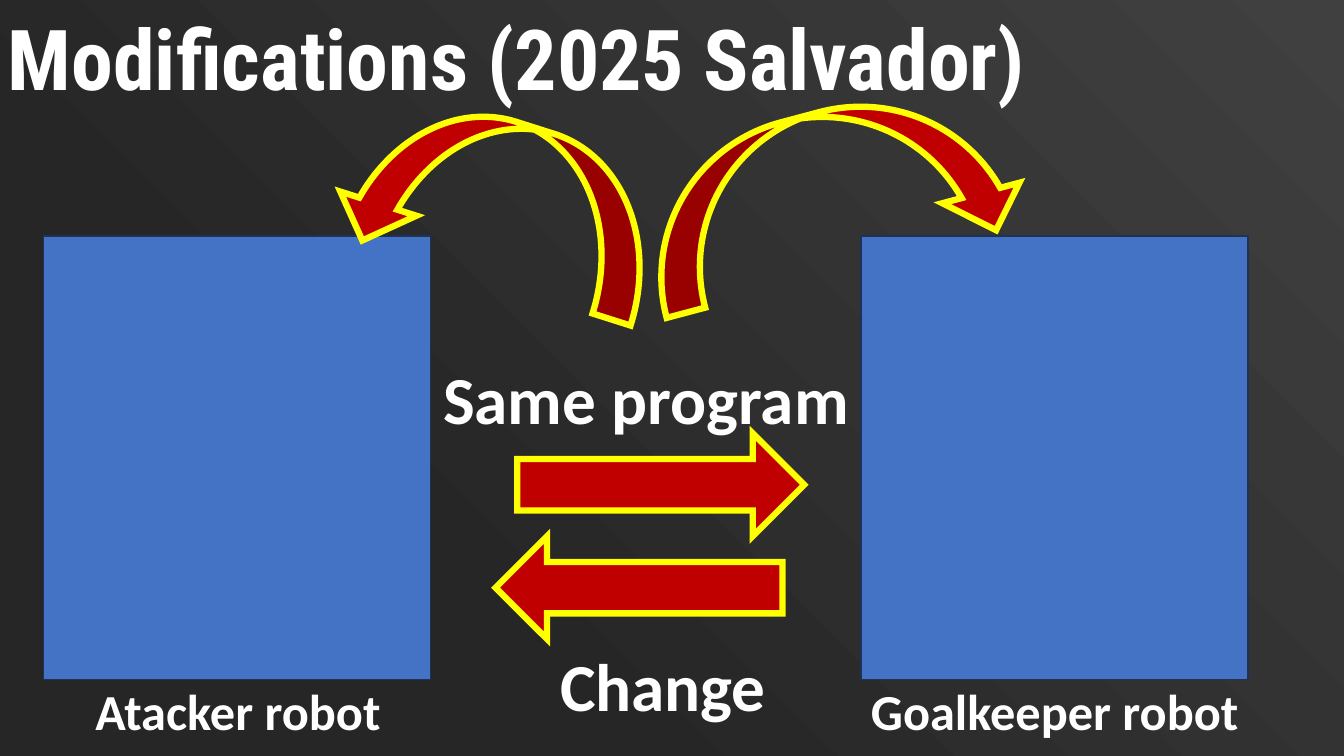
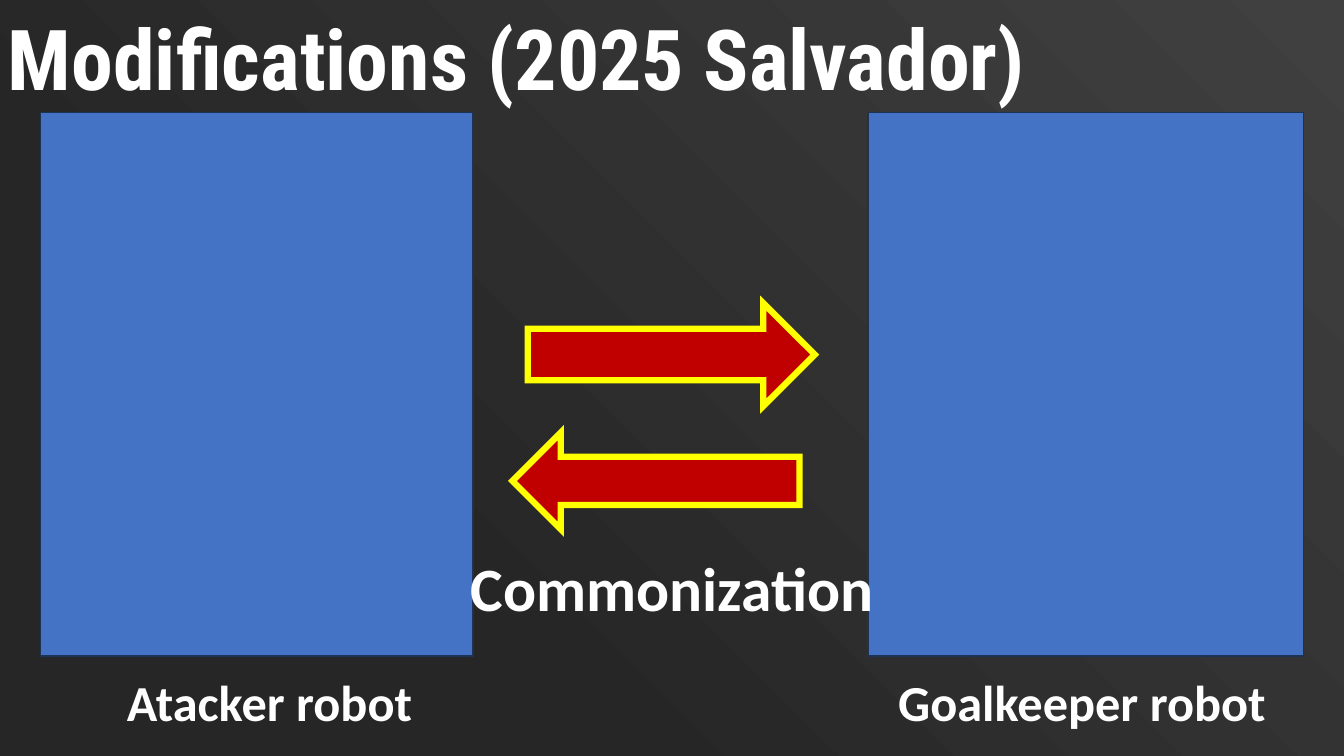
from pptx import Presentation
from pptx.dml.color import RGBColor
from pptx.enum.shapes import MSO_SHAPE
from pptx.oxml import parse_xml
from pptx.oxml.ns import nsdecls
from pptx.util import Pt

RECTANGLE = MSO_SHAPE.RECTANGLE
STRAIGHT = MSO_SHAPE.RIGHT_ARROW
CURVED = MSO_SHAPE.CURVED_DOWN_ARROW

WIDTH, HEIGHT = 960, 540
WHITE, YELLOW, RED = "FFFFFF", "FFFF00", "C00000"
PANEL_FILL, PANEL_EDGE = "4472C4", "1E3256"
CENTRE_DARK, RIM_GREY = "262626", "404040"

TITLE = "Modifications (2025 Salvador)"
TITLE_FONT = {"name": "Roboto Condensed", "size": Pt(60), "bold": True}
LABEL_FONT = {"name": "Calibri", "bold": True}
ROBOT_SIZE = 36
LABEL_HEIGHT = 47
ATTACKER_WIDTH, GOALKEEPER_WIDTH = 224, 289.5
ARROW_WIDTH, ARROW_HEIGHT = 205, 73.5

GLOW = f"""<a:gradFill {nsdecls("a")} rotWithShape="1">
  <a:gsLst>
    <a:gs pos="29000"><a:srgbClr val="{CENTRE_DARK}"/></a:gs>
    <a:gs pos="100000"><a:srgbClr val="{RIM_GREY}"/></a:gs>
  </a:gsLst>
  <a:path path="circle"><a:fillToRect l="0" t="100000" r="100000" b="0"/></a:path>
</a:gradFill>"""
MITER = f'<a:miter {nsdecls("a")} lim="800000"/>'


def color(code):
    return RGBColor.from_string(code)


def add_figure(slide, preset, box):
    figure = slide.shapes.add_shape(preset, *map(Pt, box))
    figure.shadow.inherit = False
    return figure


def paint(figure, fill, edge, weight):
    figure.fill.solid()
    figure.fill.fore_color.rgb = color(fill)
    figure.line.color.rgb = color(edge)
    figure.line.width = Pt(weight)
    figure.line._get_or_add_ln().append(parse_xml(MITER))


def add_text(slide, text, box, font_format, line_spacing=None):
    frame = slide.shapes.add_textbox(*map(Pt, box)).text_frame
    frame.word_wrap = True
    paragraph = frame.paragraphs[0]
    paragraph.line_spacing = line_spacing
    run = paragraph.add_run()
    run.text = text
    for attribute, value in font_format.items():
        setattr(run.font, attribute, value)
    run.font.color.rgb = color(WHITE)


def add_label(slide, text, left, top, width, size):
    add_text(slide, text, (left, top, width, LABEL_HEIGHT),
             LABEL_FONT | {"size": Pt(size)}, 0.9)


def add_robot_labels(slide, attacker_left, goalkeeper_left, top):
    add_label(slide, "Atacker robot", attacker_left, top,
              ATTACKER_WIDTH, ROBOT_SIZE)
    add_label(slide, "Goalkeeper robot", goalkeeper_left, top,
              GOALKEEPER_WIDTH, ROBOT_SIZE)


def add_panel(slide, *box):
    paint(add_figure(slide, RECTANGLE, box), PANEL_FILL, PANEL_EDGE, 1)


def add_arrow(slide, preset, box, rotation=0, mirrored=False):
    arrow = add_figure(slide, preset, box)
    paint(arrow, RED, YELLOW, 4.5)
    arrow.rotation = rotation
    if mirrored:
        arrow.element.spPr.xfrm.set("flipH", "1")


def add_exchange(slide, right_start, left_start, left_height=ARROW_HEIGHT):
    add_arrow(slide, STRAIGHT, (*right_start, ARROW_WIDTH, ARROW_HEIGHT))
    add_arrow(slide, STRAIGHT, (*left_start, ARROW_WIDTH, left_height), 180)


def add_titled_slide(prs):
    slide = prs.slides.add_slide(prs.slide_layouts[6])
    backdrop = add_figure(slide, RECTANGLE, (0, 0, WIDTH, HEIGHT))
    backdrop.element.spPr.insert(2, parse_xml(GLOW))
    backdrop.line.fill.background()
    add_text(slide, TITLE, (-1.5, 1, 793, 80), TITLE_FONT)
    return slide


def build_change(prs):
    slide = add_titled_slide(prs)
    for left in (31, 615):
        add_panel(slide, left, 168.5, 276.5, 317)
    add_arrow(slide, CURVED, (243.5, 86.5, 229.5, 114), 17.6, mirrored=True)
    add_arrow(slide, CURVED, (457, 80, 272, 114), 345.1)
    add_robot_labels(slide, 61, 615, 487.5)
    add_label(slide, "Same program", 309.5, 258, 307.5, 48)
    add_exchange(slide, (369.5, 309.5), (354, 383))
    add_label(slide, "Change", 393, 463.5, 174, 48)


def build_commonization(prs):
    slide = add_titled_slide(prs)
    add_exchange(slide, (377, 216.5), (366, 309), left_height=69)
    for left, width in ((29, 309), (620, 311)):
        add_panel(slide, left, 80.5, width, 388)
    add_robot_labels(slide, 83.5, 634.5, 481)
    add_label(slide, "Commonization", 329, 395.5, 335.5, 44)


def main():
    prs = Presentation()
    prs.slide_width, prs.slide_height = Pt(WIDTH), Pt(HEIGHT)
    build_change(prs)
    build_commonization(prs)
    prs.save("out.pptx")


if __name__ == "__main__":
    main()
